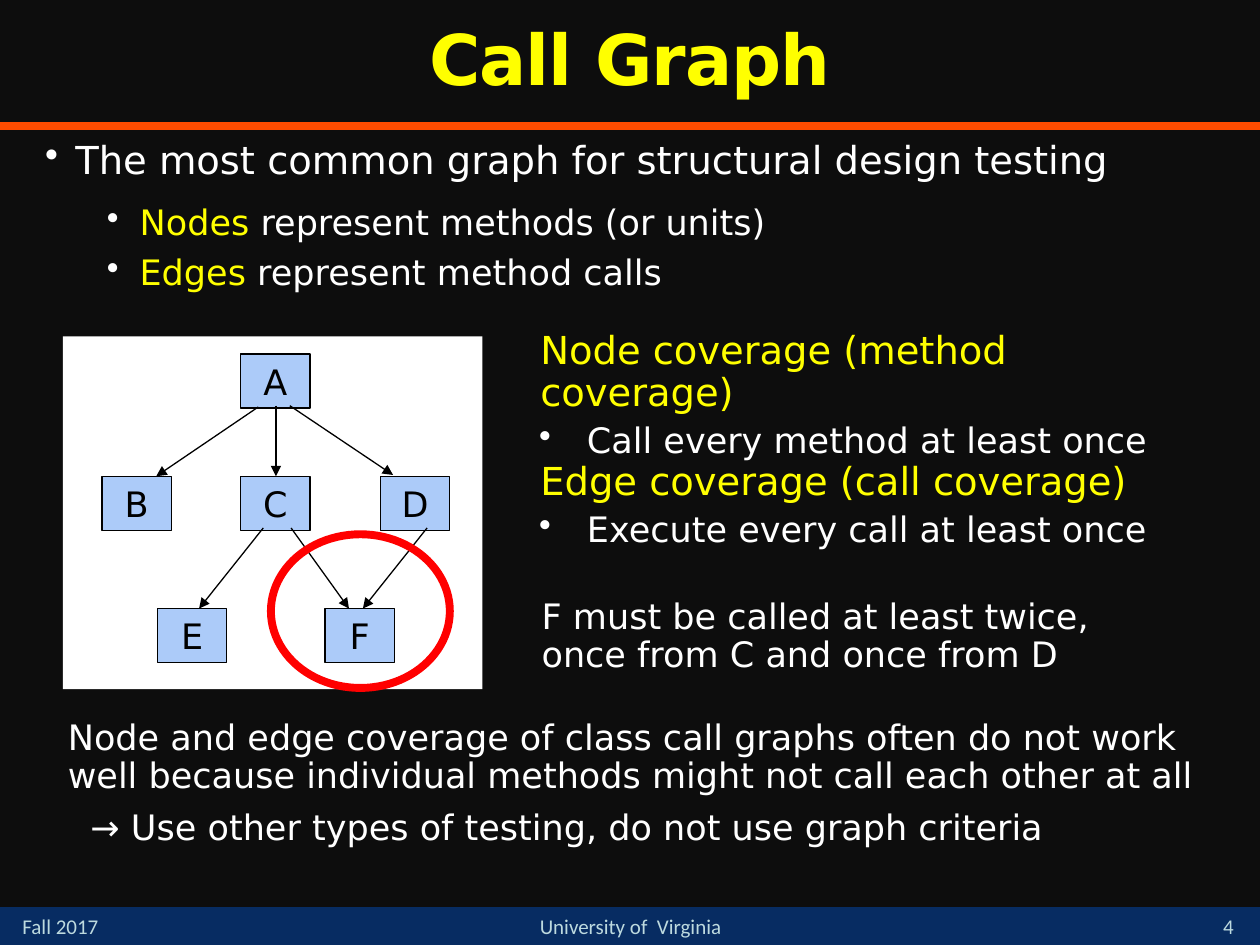
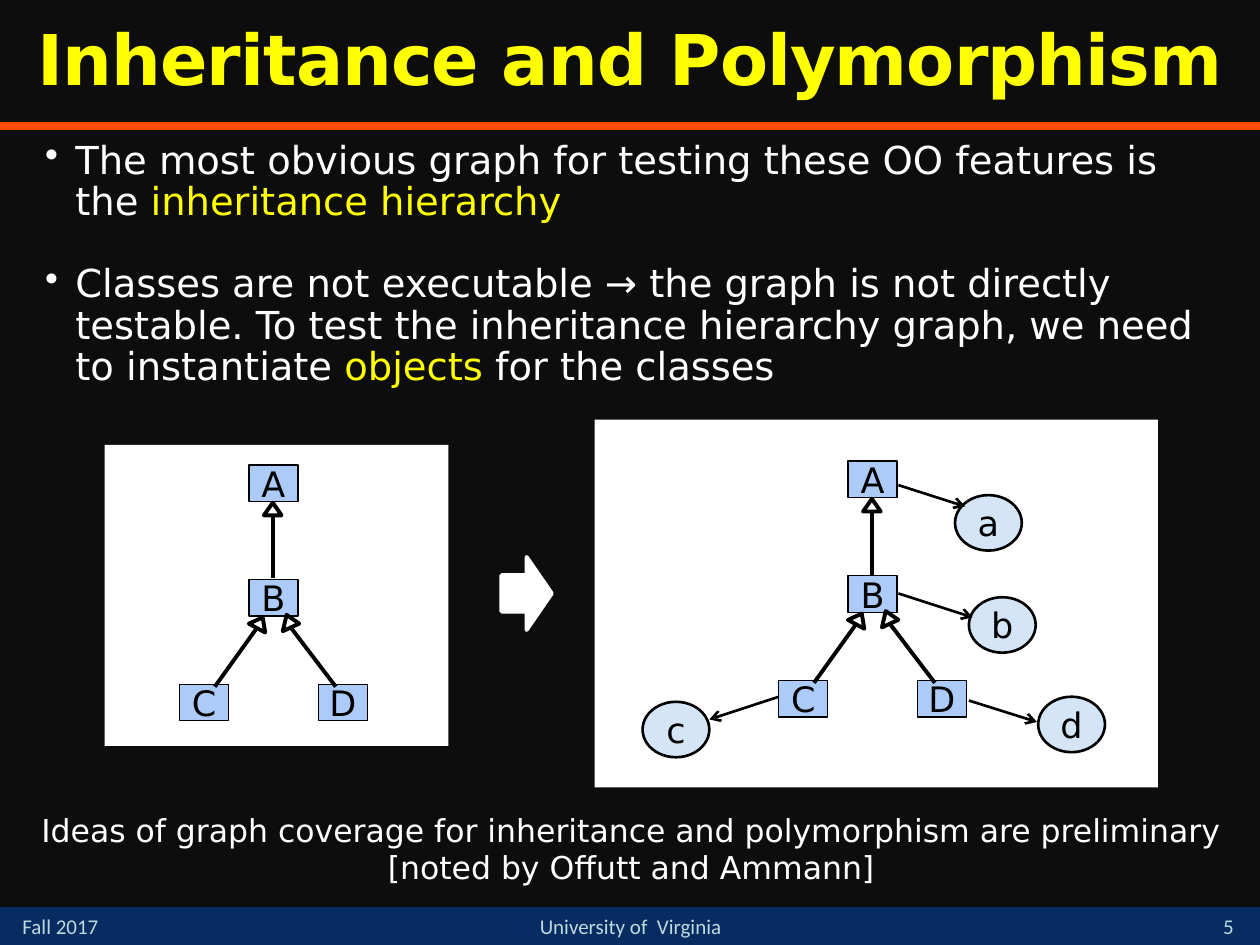
from dataclasses import dataclass
from typing import NamedTuple

from lxml.etree import SubElement
from pptx import Presentation
from pptx.dml.color import RGBColor
from pptx.enum.shapes import MSO_CONNECTOR, MSO_SHAPE
from pptx.enum.text import MSO_ANCHOR, PP_ALIGN
from pptx.oxml.ns import qn
from pptx.util import Inches, Pt

# Page grid: 100 columns by 75 rows
WIDTH, HEIGHT = Inches(10), Inches(7.5)
COLUMN, ROW = WIDTH / 100, HEIGHT / 75

COLORS = {
    "background": "0D0D0D", "band": "072C62", "rule": "FF4C00",
    "footer": "BDDADF", "title": "FFFF00", "accent": "FFFF00",
    "text": "FFFFFF", "panel": "FFFFFF", "ink": "000000",
    "node": "ACCBF9", "object": "D4E5F7", "ring": "FF0000",
}
MAIN_FONT, FOOTER_FONT = "DejaVu Sans", "Calibri"


class Area(NamedTuple):
    left: float
    top: float
    width: float
    height: float


class Point(NamedTuple):
    column: float
    row: float


class Span(NamedTuple):
    text: str
    color: str = "text"


@dataclass
class Para:
    spans: list
    size: float = 20
    font: str = MAIN_FONT
    bold: bool = False
    tracking: int = 0
    alignment: PP_ALIGN = PP_ALIGN.LEFT
    spacing: float = 0.9
    before: float = 0
    after: float = 0
    margin: float = 0.2
    hanging: float = 0
    bullet: bool = False


@dataclass
class Node:
    label: str
    area: Area
    color: str = "node"
    shape: MSO_SHAPE = MSO_SHAPE.RECTANGLE
    weight: float = 0.75


@dataclass
class Edge:
    start: Point
    end: Point
    head: str = ""
    weight: float = 0.75
    color: str = "ink"


def rgb(name: str) -> RGBColor:
    return RGBColor.from_string(COLORS[name])


def across(columns: float) -> int:
    return round(columns * COLUMN)


def down(rows: float) -> int:
    return round(rows * ROW)


def emu(area: Area) -> tuple:
    return across(area.left), down(area.top), across(area.width), down(area.height)


def set_all(target, values: dict) -> None:
    for name, value in values.items():
        setattr(target, name, value)


# Text
def add_bullet(properties) -> None:
    color = SubElement(SubElement(properties, qn("a:buClr")), qn("a:srgbClr"))
    color.set("val", COLORS["text"])
    SubElement(properties, qn("a:buChar")).set("char", "•")


def write(frame, paras: list, anchor=MSO_ANCHOR.TOP) -> None:
    set_all(frame, {"word_wrap": True, "vertical_anchor": anchor})
    for index, item in enumerate(paras):
        para = frame.add_paragraph() if index else frame.paragraphs[0]
        properties = para._p.get_or_add_pPr()
        properties.set("marL", str(across(item.margin)))
        properties.set("indent", str(across(item.hanging)))
        if item.bullet:
            add_bullet(properties)
        set_all(para, {
            "alignment": item.alignment, "line_spacing": item.spacing,
            "space_before": Pt(item.before if index else 0),
            "space_after": Pt(item.after),
        })
        for span in item.spans:
            run = para.add_run()
            run.text = span.text
            set_all(run.font, {"name": item.font, "size": Pt(item.size), "bold": item.bold})
            run.font.color.rgb = rgb(span.color)
            if item.tracking:
                run._r.get_or_add_rPr().set("spc", str(item.tracking))


def add_text(page, area: Area, paras: list, anchor=MSO_ANCHOR.TOP) -> None:
    write(page.shapes.add_textbox(*emu(area)).text_frame, paras, anchor)


def topic(*spans: Span) -> Para:
    return Para(list(spans), 22, before=20, after=3, margin=2.5, hanging=-2.4, bullet=True)


def detail(*spans: Span, before: float) -> Para:
    return Para(list(spans), before=before, margin=7.6, hanging=-2.6, bullet=True)


# Shapes
def style(shape, fill: str = "", line: str = "", weight: float = 0) -> None:
    shape.shadow.inherit = False
    if fill:
        shape.fill.solid()
        shape.fill.fore_color.rgb = rgb(fill)
    else:
        shape.fill.background()
    if line:
        shape.line.color.rgb = rgb(line)
        shape.line.width = Pt(weight)
    else:
        shape.line.fill.background()


def add_shape(page, kind: MSO_SHAPE, area: Area, fill="", line="", weight: float = 0):
    shape = page.shapes.add_shape(kind, *emu(area))
    style(shape, fill, line, weight)
    return shape


def add_panel(page, area: Area) -> None:
    add_shape(page, MSO_SHAPE.RECTANGLE, area, "panel")


def add_node(page, node: Node) -> None:
    shape = add_shape(page, node.shape, node.area, node.color, "ink", node.weight)
    margins = ("margin_left", "margin_right", "margin_top", "margin_bottom")
    set_all(shape.text_frame, dict.fromkeys(margins, 0))
    label = Para([Span(node.label, "ink")], alignment=PP_ALIGN.CENTER, spacing=1, margin=0)
    write(shape.text_frame, [label], MSO_ANCHOR.MIDDLE)


def add_edge(page, edge: Edge) -> None:
    line = page.shapes.add_connector(
        MSO_CONNECTOR.STRAIGHT, across(edge.start.column), down(edge.start.row),
        across(edge.end.column), down(edge.end.row))
    line.line.color.rgb = rgb(edge.color)
    line.line.width = Pt(edge.weight)
    if edge.head:
        SubElement(line.line._get_or_add_ln(), qn("a:tailEnd")).set("type", edge.head)
    SubElement(line._element.spPr, qn("a:effectLst"))


def add_hollow_head(page, corners: list) -> None:
    start, *others = [(across(x), down(y)) for x, y in corners]
    builder = page.shapes.build_freeform(*start)
    builder.add_line_segments(others, close=True)
    style(builder.convert_to_shape(), "panel", "ink", 2.25)


# Parts that both slides share
def add_page(deck, title: str, number: int):
    page = deck.slides.add_slide(deck.slide_layouts[6])
    page.background.fill.solid()
    page.background.fill.fore_color.rgb = rgb("background")
    add_shape(page, MSO_SHAPE.RECTANGLE, Area(0, 72, 100, 3), "band")
    add_edge(page, Edge(Point(0, 10), Point(100, 10), "", 4.5, "rule"))
    footers = [
        ("Fall 2017", Area(0.8, 72, 11.7, 3), PP_ALIGN.LEFT, MSO_ANCHOR.TOP),
        ("University of  Virginia", Area(36.7, 72, 26.7, 3), PP_ALIGN.CENTER, MSO_ANCHOR.TOP),
        (str(number), Area(95, 71.7, 5, 3.3), PP_ALIGN.CENTER, MSO_ANCHOR.BOTTOM),
    ]
    for text, area, alignment, anchor in footers:
        add_text(page, area, [Para([Span(text, "footer")], 12, FOOTER_FONT, margin=0,
                                   alignment=alignment, spacing=1)], anchor)
    add_text(page, Area(0, 0, 100, 10), [
        Para([Span(title, "title")], 40, bold=True, tracking=-50, margin=0,
             alignment=PP_ALIGN.CENTER)], MSO_ANCHOR.MIDDLE)
    return page


# Slide 4: call graph
def add_call_graph(page) -> None:
    add_panel(page, Area(5, 26.7, 33.3, 28))
    levels = {28.1: {"A": 19.1}, 37.8: {"B": 8.1, "C": 19.1, "D": 30.2},
              48.3: {"E": 12.5, "F": 25.8}}
    for top, nodes in levels.items():
        for label, left in nodes.items():
            add_node(page, Node(label, Area(left, top, 5.5, 4.3)))
    calls = [
        (Point(20.5, 32.3), Point(12.4, 37.8)), (Point(21.9, 32.2), Point(21.9, 37.8)),
        (Point(23, 32.2), Point(31.2, 37.7)), (Point(20.9, 41.9), Point(15.8, 48.3)),
        (Point(23.1, 41.9), Point(27.7, 48.3)), (Point(33.9, 41.9), Point(28.8, 48.3)),
    ]
    for start, end in calls:
        add_edge(page, Edge(start, end, "triangle"))
    add_shape(page, MSO_SHAPE.OVAL, Area(21.5, 42.4, 14.2, 12.2), "", "ring", 4.5)


def build_call_graph(deck) -> None:
    page = add_page(deck, "Call Graph", 4)
    add_text(page, Area(2.5, 10.7, 95.8, 15.1), [
        topic(Span("The most common graph for structural design testing")),
        detail(Span("Nodes", "accent"), Span(" represent methods (or units)"), before=10),
        detail(Span("Edges", "accent"), Span(" represent method calls"), before=7),
    ])
    add_call_graph(page)
    coverages = [("Node coverage (method coverage)", "Call every method at least once"),
                 ("Edge coverage (call coverage)", "Execute every call at least once")]
    for index, (name, rule) in enumerate(coverages):
        add_text(page, Area(41.7, 25.8 + 10.4 * index, 55.5, 10.4), [
            Para([Span(name, "accent")], 22),
            Para([Span(rule)], before=5, margin=3.9, hanging=-3.8, bullet=True),
        ])
    add_text(page, Area(41.8, 47.1, 52.5, 8.3), [
        Para([Span("F must be called at least twice, once from C and once from D")], after=3)])
    add_text(page, Area(4.2, 56.7, 93, 13.8), [
        Para([Span("Node and edge coverage of class call graphs often do not work well "
                   "because individual methods might not call each other at all")], after=3),
        Para([Span("→ Use other types of testing, do not use graph criteria")],
             before=5, after=3, margin=2),
    ])


# Slide 5: inheritance
def add_class_tree(page, left: float, top: float) -> None:
    """Draw the class tree with the corner of node A at the given column and row."""
    def at(column: float, row: float) -> Point:
        return Point(left + column, top + row)

    for label, column, row in [("A", 0, 0), ("B", 0, 9.1), ("C", -5.5, 17.4), ("D", 5.5, 17.4)]:
        add_node(page, Node(label, Area(*at(column, row), 3.9, 2.9)))
    shafts = [((1.9, 4.1), (1.9, 9)), ((0.6, 13), (-2.7, 17.6)), ((3.4, 13), (6.9, 17.6))]
    heads = [((1.2, 4), (2.6, 4), (1.9, 3)), ((0, 12.6), (1.3, 13.3), (1.1, 12.1)),
             ((2.7, 13.2), (4, 12.6), (3, 11.9))]
    for (start, end), corners in zip(shafts, heads):
        add_edge(page, Edge(at(*start), at(*end), weight=2.25))
        add_hollow_head(page, [at(*corner) for corner in corners])


def build_inheritance(deck) -> None:
    page = add_page(deck, "Inheritance and Polymorphism", 5)
    add_text(page, Area(2.5, 10.7, 95.8, 25.8), [
        topic(Span("The most obvious graph for testing these OO features is the "),
              Span("inheritance hierarchy", "accent")),
        topic(Span("Classes are not executable → the graph is not directly testable. To test "
                   "the inheritance hierarchy graph, we need to instantiate "),
              Span("objects", "accent"), Span(" for the classes")),
    ])
    add_panel(page, Area(8.3, 35.3, 27.3, 23.9))
    add_class_tree(page, 19.75, 36.9)
    add_panel(page, Area(47.2, 33.3, 44.7, 29.2))
    add_class_tree(page, 67.3, 36.6)
    # Objects and the links from their classes
    objects = [
        ("a", Point(75.8, 39.3), Point(71.3, 38.5), Point(76.6, 40.2)),
        ("b", Point(76.9, 47.4), Point(71.3, 47.1), Point(77.2, 49)),
        ("c", Point(51, 55.7), Point(61.8, 55.3), Point(56.3, 57.1)),
        ("d", Point(82.4, 55.3), Point(76.9, 55.6), Point(82.3, 57.3)),
    ]
    for label, corner, start, end in objects:
        add_node(page, Node(label, Area(*corner, 5.3, 4.4), "object", MSO_SHAPE.OVAL, 1.5))
        add_edge(page, Edge(start, end, "arrow", 1.5))
    add_shape(page, MSO_SHAPE.RIGHT_ARROW, Area(39.8, 44.2, 4, 5.8), "panel", "panel", 2.25)
    notes = ["Ideas of graph coverage for inheritance and polymorphism are preliminary",
             "[noted by Offutt and Ammann]"]
    add_text(page, Area(0.6, 64.2, 98.8, 8.3), [
        Para([Span(note)], 18, alignment=PP_ALIGN.CENTER, after=2) for note in notes])


def main() -> None:
    deck = Presentation()
    set_all(deck, {"slide_width": WIDTH, "slide_height": HEIGHT})
    build_call_graph(deck)
    build_inheritance(deck)
    deck.save("out.pptx")


if __name__ == "__main__":
    main()
